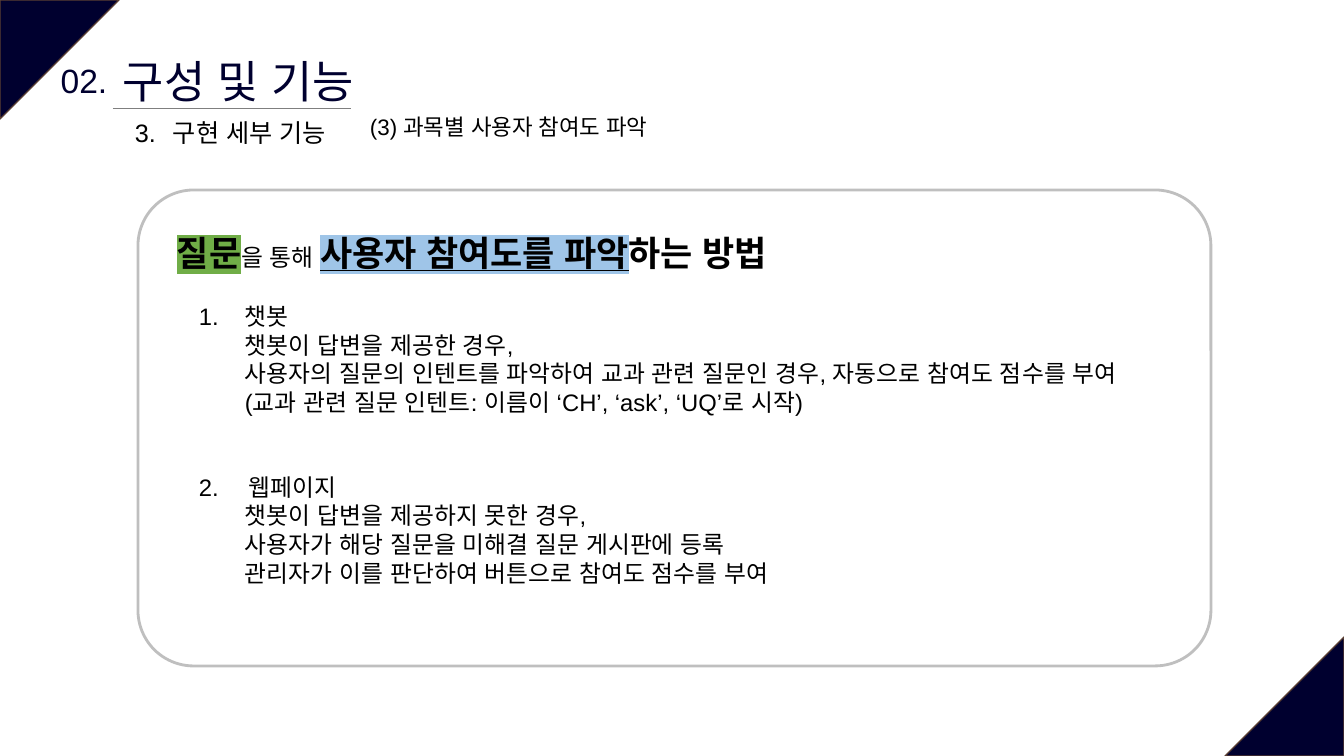
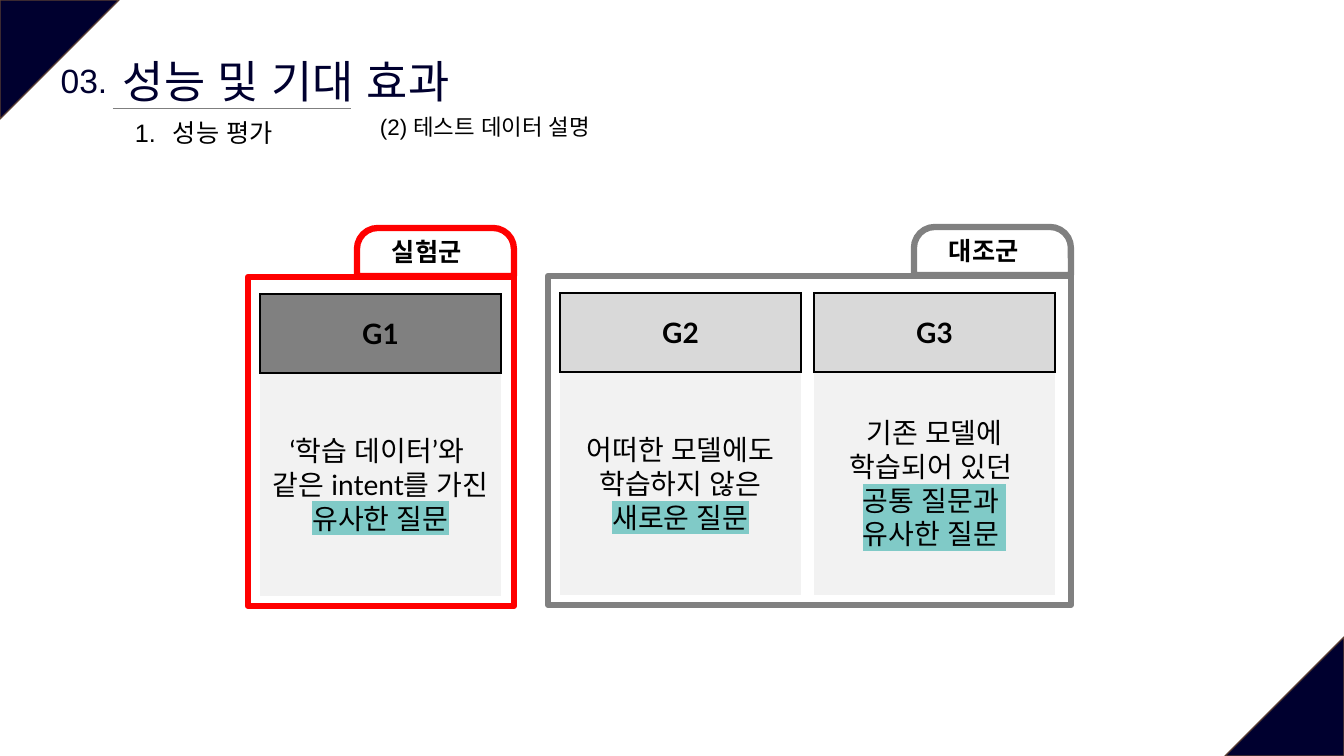
from dataclasses import dataclass

import pptx
import pptx.dml.color
import pptx.enum.lang
import pptx.enum.shapes
import pptx.enum.text
import pptx.oxml
import pptx.oxml.ns
import pptx.util
from lxml import etree

SCALE = 914400 / 100.8  # EMU in one px
PRESETS = pptx.enum.shapes.MSO_SHAPE
ALIGN = pptx.enum.text.PP_ALIGN
ANCHOR = pptx.enum.text.MSO_ANCHOR
qn = pptx.oxml.ns.qn


@dataclass(frozen=True)
class Theme:
    navy: str = "00002F"
    corner_edge: str = "5B3F33"
    black: str = "000000"
    white: str = "FFFFFF"
    rule: str = "7F7F7F"
    panel_edge: str = "BFBFBF"
    test_group: str = "FF0000"
    control_group: str = "808080"
    control_head: str = "D9D9D9"
    cell: str = "F2F2F2"
    green: str = "70AD47"
    blue: str = "9FC5E8"
    teal: str = "80CAC7"
    sans: str = "Arial"
    table_font: str = "Lato"
    title_size: int = 32
    number_size: int = 24
    section_size: int = 18
    topic_size: int = 16
    heading_size: int = 25
    body_size: int = 17
    table_size: int = 20


THEME = Theme()


def px(value):
    return pptx.util.Emu(round(value * SCALE))


def rgb(value):
    return pptx.dml.color.RGBColor.from_string(value)


# Text
def add_run(paragraph, text, size, color=THEME.black, font=THEME.sans,
            bold=False, underline=False, highlight=None):
    run = paragraph.add_run()
    run.text = text
    run.font.color.rgb = rgb(color)
    values = {"size": pptx.util.Pt(size), "name": font, "bold": bold, "underline": underline,
              "language_id": pptx.enum.lang.MSO_LANGUAGE_ID.KOREAN}
    for name, value in values.items():
        setattr(run.font, name, value)
    properties = run._r.get_or_add_rPr()
    east_asian = etree.Element(qn("a:ea"), typeface=font)
    properties.find(qn("a:latin")).addnext(east_asian)
    if highlight:
        mark = etree.Element(qn("a:highlight"))
        etree.SubElement(mark, qn("a:srgbClr"), val=highlight)
        properties.find(qn("a:solidFill")).addnext(mark)


def indent(paragraph, left, first=0, number=None):
    properties = paragraph._p.get_or_add_pPr()
    properties.set("marL", str(px(left)))
    properties.set("indent", str(px(first)))
    if number:
        color = etree.SubElement(properties, qn("a:buClr"))
        etree.SubElement(color, qn("a:srgbClr"), val=THEME.black)
        etree.SubElement(properties, qn("a:buAutoNum"), type="arabicPeriod",
                         startAt=str(number))


def add_text_box(slide, box, inset=(10, 5), anchor=ANCHOR.MIDDLE):
    frame = slide.shapes.add_textbox(*map(px, box)).text_frame
    side, end = map(px, inset)
    values = {"word_wrap": True, "vertical_anchor": anchor, "margin_left": side,
              "margin_right": side, "margin_top": end, "margin_bottom": end}
    for name, value in values.items():
        setattr(frame, name, value)
    return frame


# Shapes
def add_shape(slide, preset, box, line, width, fill=None, adjustments=()):
    shape = slide.shapes.add_shape(preset, *map(px, box))
    shape.shadow.inherit = False
    if fill:
        shape.fill.solid()
        shape.fill.fore_color.rgb = rgb(fill)
    else:
        shape.fill.background()
    shape.line.color.rgb = rgb(line)
    shape.line.width = pptx.util.Pt(width)
    for index, value in enumerate(adjustments):
        shape.adjustments[index] = value
    return shape


def add_corners(slide, layout):
    """Draw the two corner triangles and hand them to the shared layout."""
    side = 119
    corners = ((0, 0, 90), (1344 - side, 756 - side, 270))
    for index, (left, top, rotation) in enumerate(corners):
        corner = add_shape(slide, PRESETS.ISOSCELES_TRIANGLE, (left, top, side, side),
                           THEME.corner_edge, 1, THEME.navy, (0,))
        corner.rotation = rotation
        corner.element.nvSpPr.cNvPr.set("id", str(100 + index))
        layout.shapes.element.append(corner.element)


def add_header(slide, box, number, title, section_number, section, topic, topic_indent=0):
    left, top = box
    rule = slide.shapes.add_connector(pptx.enum.shapes.MSO_CONNECTOR.STRAIGHT,
                                      px(left + 63), px(top + 61), px(left + 301), px(top + 61))
    rule.line.color.rgb = rgb(THEME.rule)
    rule.line.width = pptx.util.Pt(0.75)
    etree.SubElement(rule.element.spPr, qn("a:effectLst"))

    paragraph = add_text_box(slide, (left + 63, top, 558, 65)).paragraphs[0]
    add_run(paragraph, title, THEME.title_size, THEME.navy)

    paragraph = add_text_box(slide, (left, top + 7, 68, 50)).paragraphs[0]
    paragraph.alignment = ALIGN.CENTER
    add_run(paragraph, number, THEME.number_size, THEME.navy)

    paragraph = add_text_box(slide, (left + 63, top + 63, 558, 42)).paragraphs[0]
    indent(paragraph, 50, -38, section_number)
    add_run(paragraph, section, THEME.section_size)

    paragraph = add_text_box(slide, (left + 307, top + 54, 636, 50), (13, 13)).paragraphs[0]
    indent(paragraph, topic_indent)
    add_run(paragraph, topic, THEME.topic_size)


# Rounded panel with a heading and numbered methods
def add_method_panel(slide, box, heading, methods):
    left, top, width, height = box
    add_shape(slide, PRESETS.ROUNDED_RECTANGLE, box, THEME.panel_edge, 2, THEME.white, (0.117,))
    frame = add_text_box(slide, (left + 26, top + 26, width - 53, height - 52),
                         (13, 13), ANCHOR.TOP)
    paragraph = frame.paragraphs[0]
    paragraph.line_spacing = pptx.util.Pt(32)
    for text, style in heading:
        add_run(paragraph, text, **style)
    for number, (space, left_indent, first, lines) in enumerate(methods, 1):
        for index, line in enumerate(lines):
            paragraph = frame.add_paragraph()
            if index == 0:
                indent(paragraph, left_indent, first, number)
                paragraph.space_before = pptx.util.Pt(space)
            else:
                indent(paragraph, 68)
            paragraph.line_spacing = pptx.util.Pt(20.4)
            add_run(paragraph, line, THEME.body_size)


# Table card with a head and a description
def set_borders(cell, visible):
    properties = cell._tc.get_or_add_tcPr()
    for index, side in enumerate("LRTB"):
        border = etree.Element(qn("a:ln" + side), w=str(pptx.util.Pt(1)))
        if side in visible:
            fill = etree.SubElement(border, qn("a:solidFill"))
            etree.SubElement(fill, qn("a:srgbClr"), val=THEME.black)
        else:
            etree.SubElement(border, qn("a:noFill"))
        properties.insert(index, border)


def add_card(slide, box, head, head_fill, description):
    table = slide.shapes.add_table(2, 1, *map(px, box)).table
    table.first_row = table.horz_banding = False
    head_height = 79
    table.rows[0].height = px(head_height)
    table.rows[1].height = px(box[3] - head_height)
    rows = ((((head, None),),), head_fill, "LRTB", True), (description, THEME.cell, "T", False)
    for row, (paragraphs, fill, borders, bold) in enumerate(rows):
        cell = table.cell(row, 0)
        cell.fill.solid()
        cell.fill.fore_color.rgb = rgb(fill)
        cell.vertical_anchor = ANCHOR.MIDDLE
        set_borders(cell, borders)
        for index, runs in enumerate(paragraphs):
            frame = cell.text_frame
            paragraph = frame.add_paragraph() if index else frame.paragraphs[0]
            paragraph.alignment = ALIGN.CENTER
            for text, highlight in runs:
                add_run(paragraph, text, THEME.table_size, font=THEME.table_font,
                        bold=bold, highlight=highlight)


# Frame with a tab at its top right and cards inside
def add_group(slide, box, label, color, head_fill, cards):
    left, top, width, height = box
    for index, (head, description) in enumerate(cards):
        add_card(slide, (left + 12 + index * 254, top + 17, 241, 302),
                 head, head_fill, description)
    tab_width, tab_height = 157, 48
    tab_left, tab_top = left + width - tab_width, top - tab_height - 1
    add_shape(slide, PRESETS.ROUND_2_SAME_RECTANGLE, (tab_left, tab_top, tab_width, tab_height),
              color, 4.5, THEME.white, (0.435, 0))
    add_shape(slide, PRESETS.RECTANGLE, box, color, 4.5)
    frame = add_text_box(slide, (tab_left + 25, tab_top + 3, 97, 40))
    add_run(frame.paragraphs[0], label, THEME.section_size, bold=True)


def build_methods_slide(slide):
    add_header(slide, (50, 48), "02.", "구성 및 기능", 3, "구현 세부 기능",
               "(3) 과목별 사용자 참여도 파악")
    strong = {"size": THEME.heading_size, "bold": True}
    heading = (
        ("질문", {**strong, "highlight": THEME.green}),
        ("을 통해 ", {"size": THEME.body_size}),
        ("사용자 참여도를 파악", {**strong, "underline": True, "highlight": THEME.blue}),
        ("하는 방법", strong),
    )
    methods = (
        (20, 68, -46, (
            "챗봇",
            "챗봇이 답변을 제공한 경우,",
            "사용자의 질문의 인텐트를 파악하여 교과 관련 질문인 경우, 자동으로 참여도 점수를 부여",
            "(교과 관련 질문 인텐트: 이름이 ‘CH’, ‘ask’, ‘UQ’로 시작)")),
        (40.5, 72, -50, (
            "웹페이지",
            "챗봇이 답변을 제공하지 못한 경우,",
            "사용자가 해당 질문을 미해결 질문 게시판에 등록",
            "관리자가 이를 판단하여 버튼으로 참여도 점수를 부여")),
    )
    add_method_panel(slide, (138, 190, 1073, 476), heading, methods)


def build_groups_slide(slide):
    add_header(slide, (50, 48), "03.", "성능 및 기대 효과", 1, "성능 평가",
               "(2) 테스트 데이터 설명", 10)
    add_group(slide, (248, 277, 266, 329), "실험군", THEME.test_group, THEME.control_group, (
        ("G1", ((("‘학습 데이터’와 ", None),),
                (("같은 intent를 가진 ", None),),
                (("유사한 질문", THEME.teal),))),
    ))
    add_group(slide, (548, 276, 523, 329), "대조군", THEME.control_group, THEME.control_head, (
        ("G2", ((("어떠한 모델에도 학습하지 않은 ", None), ("새로운 질문", THEME.teal)),)),
        ("G3", ((("기존 모델에 학습되어 있던 ", None),),
                (("공통 질문과 ", THEME.teal),),
                (("유사한 질문 ", THEME.teal),))),
    ))


def main():
    presentation = pptx.Presentation()
    presentation.slide_width, presentation.slide_height = px(1344), px(756)
    layout = presentation.slide_layouts[6]
    slides = [presentation.slides.add_slide(layout) for _ in range(2)]
    add_corners(slides[0], layout)
    build_methods_slide(slides[0])
    build_groups_slide(slides[1])
    presentation.save("out.pptx")


if __name__ == "__main__":
    main()
